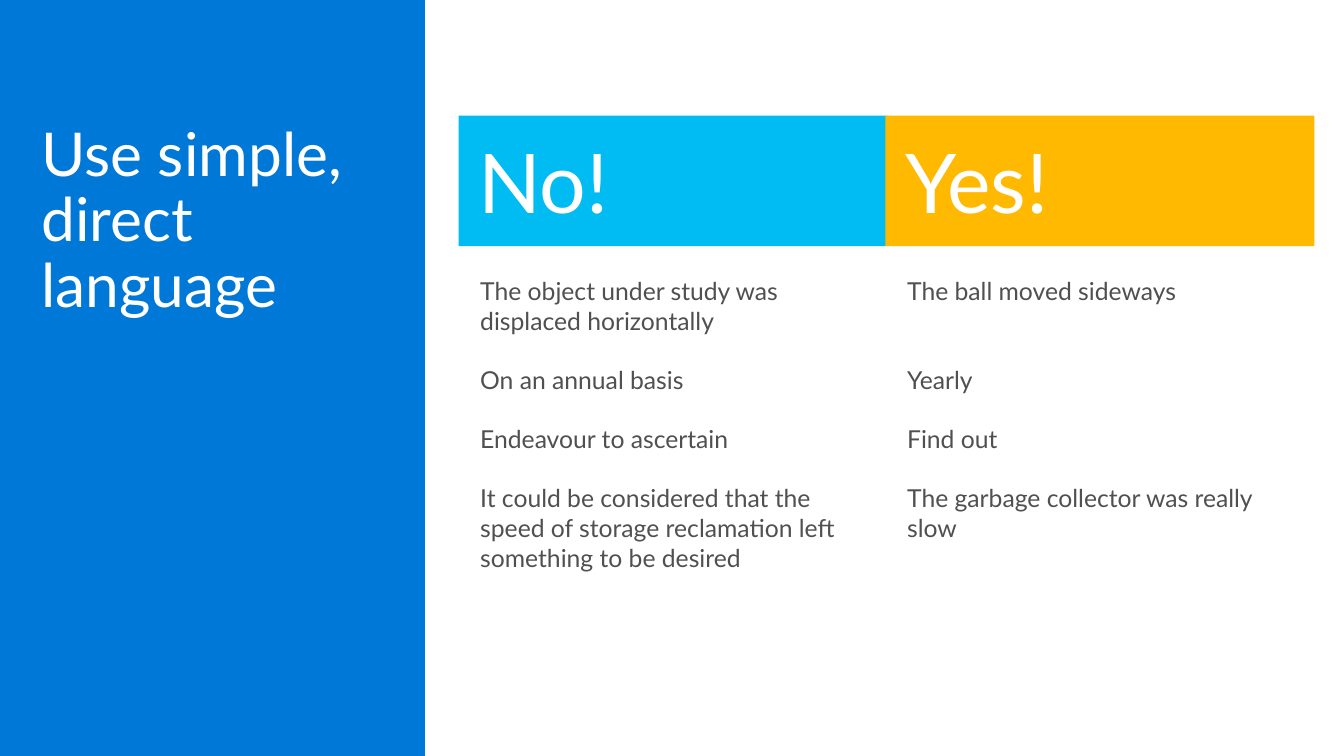
from pptx import Presentation
from pptx.dml.color import RGBColor
from pptx.enum import shapes, text
from pptx.util import Inches, Pt

# Content: each phrase goes with the number of lines left free above it
TITLE = "Use simple, direct language"
COLUMNS = [
    {"heading": "No!", "fill": "00BCF2", "left": 4.64, "text_width": 4.03, "text_height": 3.35,
     "phrases": [
         ("The object under study was displaced horizontally", 0),
         ("On an annual basis", 1),
         ("Endeavour to ascertain", 1),
         ("It could be considered that the speed of storage reclamation "
          "left something to be desired", 1)]},
    {"heading": "Yes!", "fill": "FFB900", "left": 8.96, "text_width": 4.27, "text_height": 3.05,
     "phrases": [
         ("The ball moved sideways", 0),
         ("Yearly", 2),
         ("Find out", 1),
         ("The garbage collector was really slow", 1)]},
]

# Style and layout
FONT, WHITE, GREY, BLUE = "Lato", "FFFFFF", "505050", "0078D7"
SLIDE_WIDTH, SLIDE_HEIGHT, PANEL_WIDTH = 13.6, 7.65, 4.3
HEADING_TOP, HEADING_WIDTH, HEADING_HEIGHT = 1.17, 4.34, 1.32
TEXT_TOP, TEXT_OFFSET = 2.63, 0.02
PHRASE_SIZE, LINE_HEIGHT = 18, 21.6


def color(value):
    return RGBColor.from_string(value)


def add_rectangle(slide, left, top, width, height, fill):
    shape = slide.shapes.add_shape(
        shapes.MSO_SHAPE.RECTANGLE, Inches(left), Inches(top), Inches(width), Inches(height))
    shape.shadow.inherit = False
    shape.fill.solid()
    shape.fill.fore_color.rgb = color(fill)
    shape.line.fill.background()
    return shape


def write(shape, phrases, size, font_color, inset=(0.2, 0.16), line_spacing=1.0):
    frame = shape.text_frame
    frame.word_wrap = True
    frame.auto_size = text.MSO_AUTO_SIZE.NONE
    frame.vertical_anchor = text.MSO_ANCHOR.TOP
    frame.margin_left = frame.margin_right = Inches(inset[0])
    frame.margin_top = frame.margin_bottom = Inches(inset[1])
    for index, (phrase, free_lines) in enumerate(phrases):
        paragraph = frame.add_paragraph() if index else frame.paragraphs[0]
        paragraph.text = phrase
        paragraph.alignment = text.PP_ALIGN.LEFT
        paragraph.line_spacing = line_spacing
        paragraph.space_before = Pt(free_lines * LINE_HEIGHT)
        paragraph.font.name = FONT
        paragraph.font.size = Pt(size)
        paragraph.font.color.rgb = color(font_color)


def main():
    presentation = Presentation()
    presentation.slide_width = Inches(SLIDE_WIDTH)
    presentation.slide_height = Inches(SLIDE_HEIGHT)
    slide = presentation.slides.add_slide(presentation.slide_layouts[5])

    # Title on the blue side panel, with the panel behind it
    title = slide.shapes.title
    title.left, title.top, title.width, title.height = map(Inches, (0.26, 1.16, 3.78, 1.66))
    write(title, [(TITLE, 0)], 44, WHITE, inset=(0.16, 0.1), line_spacing=0.9)
    panel = add_rectangle(slide, 0, 0, PANEL_WIDTH, SLIDE_HEIGHT, BLUE)
    title.element.addprevious(panel.element)

    # Columns: coloured heading above its phrases
    for column in COLUMNS:
        heading = add_rectangle(slide, column["left"], HEADING_TOP,
                                HEADING_WIDTH, HEADING_HEIGHT, column["fill"])
        write(heading, [(column["heading"], 0)], 60, WHITE)
        box = slide.shapes.add_textbox(
            Inches(column["left"] + TEXT_OFFSET), Inches(TEXT_TOP),
            Inches(column["text_width"]), Inches(column["text_height"]))
        write(box, column["phrases"], PHRASE_SIZE, GREY)

    presentation.save("out.pptx")


if __name__ == "__main__":
    main()
